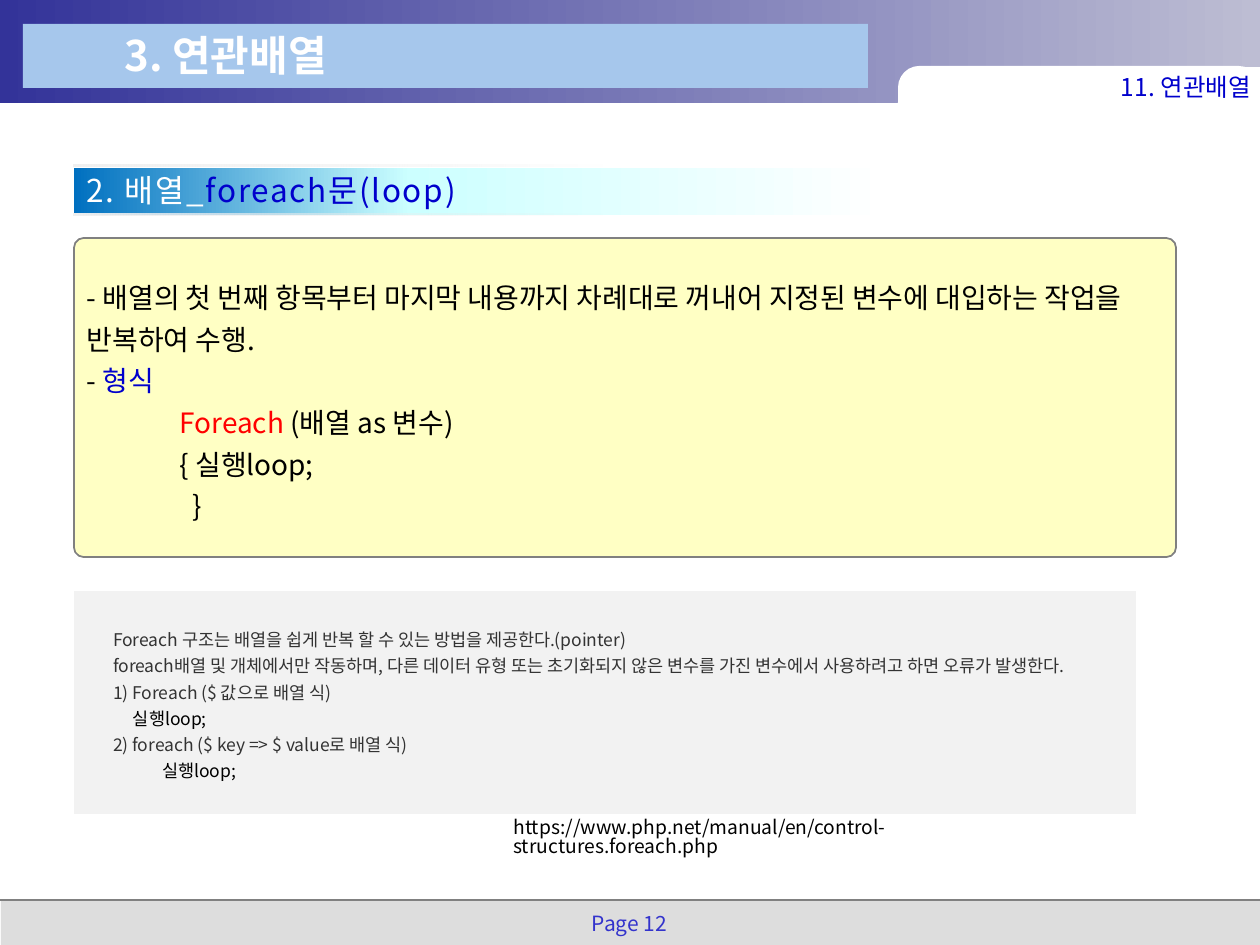
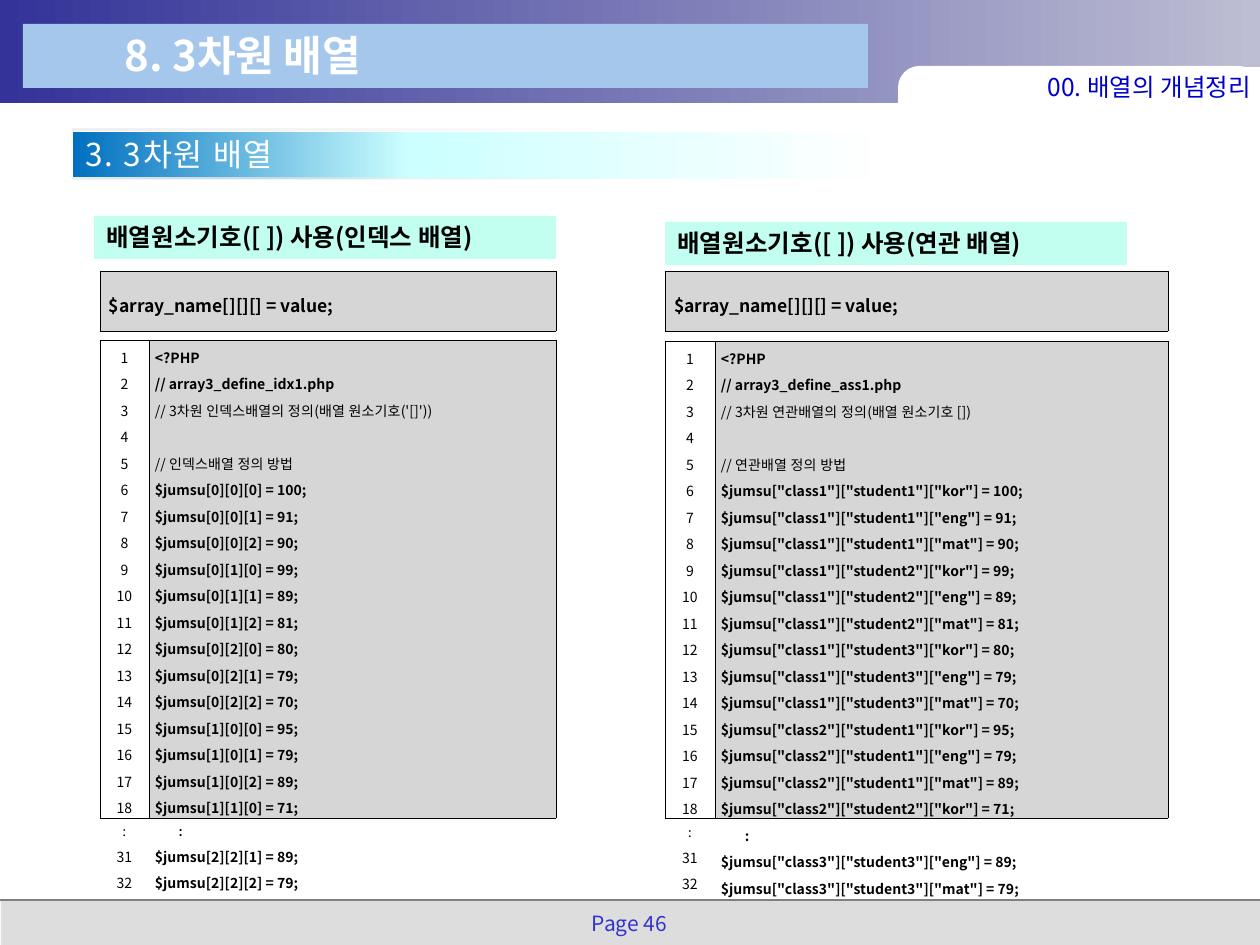
from lxml import etree
from pptx import Presentation
from pptx import util as u
from pptx.dml.color import RGBColor
from pptx.enum import shapes, text
from pptx.oxml.ns import qn

SCALE = 914400 / 126
FONT, ALT_FONT = "Noto Sans CJK KR", "Lato"

WHITE = RGBColor(0xFF, 0xFF, 0xFF)
BLACK = RGBColor(0x00, 0x00, 0x00)
INDIGO = RGBColor(0x33, 0x33, 0x99)
LAVENDER = RGBColor(0xBD, 0xBD, 0xD3)
SKY = RGBColor(0xA6, 0xC7, 0xEC)
FOOTER_GREY = RGBColor(0xDD, 0xDD, 0xDD)
LINE_GREY = RGBColor(0x80, 0x80, 0x80)
PAGE_BLUE = RGBColor(0x33, 0x33, 0xCC)
BLUE = RGBColor(0x00, 0x00, 0xCC)
RED = RGBColor(0xFF, 0x00, 0x00)
YELLOW = RGBColor(0xFF, 0xFF, 0x00)
BAND_BLUE = RGBColor(0x00, 0x70, 0xC0)
BAND_CYAN = RGBColor(0xCC, 0xFF, 0xFF)
EDGE_LIGHT = RGBColor(0xF0, 0xF0, 0xF0)
EDGE_DARK = RGBColor(0xEA, 0xEA, 0xEA)
NAVY = RGBColor(0x00, 0x00, 0x66)
NOTE_GREY = RGBColor(0xF2, 0xF2, 0xF2)
NOTE_TEXT = RGBColor(0x33, 0x33, 0x33)
CODE_GREY = RGBColor(0xD6, 0xD6, 0xD6)
MINT = RGBColor(0xC2, 0xFF, 0xF0)

LEFT, CENTER, RIGHT, JUSTIFY = (text.PP_ALIGN.LEFT, text.PP_ALIGN.CENTER,
                                text.PP_ALIGN.RIGHT, text.PP_ALIGN.JUSTIFY)
RECT, ROUND = shapes.MSO_SHAPE.RECTANGLE, shapes.MSO_SHAPE.ROUNDED_RECTANGLE
MIDDLE = text.MSO_ANCHOR.MIDDLE


def px(length):
    return u.Emu(round(length * SCALE))


def emu_box(box):
    return [px(length) for length in box]


def add_color(parent, color, alpha=None):
    node = etree.SubElement(parent, qn("a:srgbClr"), val=str(color))
    if alpha is not None:
        etree.SubElement(node, qn("a:alpha"), val=str(alpha * 1000))


def add_shape(parts, kind, box, fill, line=None, corner=None):
    shape = parts.add_shape(kind, *emu_box(box))
    shape.shadow.inherit = False
    if corner is not None:
        shape.adjustments[0] = corner
    if isinstance(fill, list):
        set_gradient(shape, fill)
    else:
        shape.fill.solid()
        shape.fill.fore_color.rgb = fill
    if line is None:
        shape.line.fill.background()
    else:
        shape.line.color.rgb = line
        shape.line.width = u.Pt(1)
    return shape


def set_gradient(shape, stops):
    """Fill from left to right; each stop is (percent, color[, alpha])."""
    shape.fill.gradient()
    shape.fill.gradient_angle = 0
    stop_list = shape._element.spPr.find(qn("a:gradFill")).find(qn("a:gsLst"))
    for old in list(stop_list):
        stop_list.remove(old)
    for percent, *color in stops:
        stop = etree.SubElement(stop_list, qn("a:gs"), pos=str(percent * 1000))
        add_color(stop, *color)


def style_span(span, size, color, bold, font):
    span.font.size = u.Pt(size)
    span.font.bold = bold
    span.font.color.rgb = color
    span.font.name = font
    etree.SubElement(span._r.get_or_add_rPr(), qn("a:ea"), typeface=font)


def write(frame, paras, size, color=BLACK, bold=False, align=LEFT,
          spacing=1.0, indent=0):
    """Each paragraph is a string or a list of (text, style changes)."""
    for index, parts in enumerate(paras):
        para = frame.paragraphs[0] if index == 0 else frame.add_paragraph()
        para.alignment, para.line_spacing = align, spacing
        set_indent(para, indent)
        for words, changes in [(parts, {})] if isinstance(parts, str) else parts:
            span = para.add_run()
            span.text = words
            style_span(span, **{"size": size, "color": color, "bold": bold,
                                "font": FONT, **changes})


def set_indent(para, indent):
    para._p.get_or_add_pPr().set("marL", str(px(indent)))


def set_frame(frame, anchor=text.MSO_ANCHOR.TOP, inset=None):
    frame.word_wrap = True
    frame.vertical_anchor = anchor
    if inset is not None:
        frame.margin_left = frame.margin_right = px(inset)
        frame.margin_top = frame.margin_bottom = px(inset)
    return frame


def add_text(parts, box, paras, size, color, anchor=text.MSO_ANCHOR.TOP,
             inset=None, **style):
    frame = set_frame(parts.add_textbox(*emu_box(box)).text_frame, anchor, inset)
    write(frame, paras, size, color, **style)
    return frame


def add_page(deck, title, chapter, number):
    page = deck.slides.add_slide(deck.slide_layouts[6])
    parts = page.shapes
    # Footer
    add_shape(parts, RECT, (1, 900, 1259, 49), FOOTER_GREY)
    rule = parts.add_connector(shapes.MSO_CONNECTOR.STRAIGHT,
                               *emu_box((0, 900, 1260, 900)))
    rule.line.color.rgb, rule.line.width = LINE_GREY, u.Pt(1)
    etree.SubElement(rule._element.spPr, qn("a:effectLst"))
    add_text(parts, (573, 907, 113, 35), [f"Page {number}"], 12, PAGE_BLUE,
             align=CENTER, spacing=0.9)
    # Header band with its chapter tab
    add_shape(parts, RECT, (0, 0, 1260, 103), [(0, INDIGO), (100, LAVENDER)])
    add_shape(parts, ROUND, (898, 66, 362, 74), WHITE, corner=0.29)
    add_shape(parts, RECT, (1147, 67, 113, 30), WHITE)
    add_shape(parts, RECT, (23, 24, 845, 64), SKY)
    add_text(parts, (112, 23, 626, 63), [title], 24, WHITE, bold=True)
    add_text(parts, (1017, 67, 239, 40), [chapter], 14, BLUE, MIDDLE, 5,
             align=RIGHT)
    return page


def add_section_band(page, left, top, heading):
    parts = page.shapes.add_group_shape().shapes
    add_shape(parts, RECT, (left, top + 3, 840, 47),
              [(0, BAND_BLUE), (40, BAND_CYAN), (97, WHITE)])
    for edge_top in (top, top + 49):
        add_shape(parts, RECT, (left, edge_top, 530, 2),
                  [(0, EDGE_LIGHT), (100, EDGE_DARK, 0)])
    frame = add_text(parts, (left, top, 844, 50), [heading], 18, WHITE)
    # Letter spacing and a small shadow behind the letters
    for span in frame.paragraphs[0].runs:
        props = span._r.get_or_add_rPr()
        props.set("spc", "100")
        effects = etree.Element(qn("a:effectLst"))
        props.find(qn("a:solidFill")).addnext(effects)
        shadow = etree.SubElement(effects, qn("a:outerShdw"), dist="17961",
                                  dir="2700000")
        add_color(shadow, NAVY)


def add_syntax_panel(page, box):
    panel = add_shape(page.shapes, ROUND, box, YELLOW, LINE_GREY, 0.03)
    color = panel._element.spPr.find(qn("a:solidFill"))[0]
    etree.SubElement(color, qn("a:alpha"), val="23000")
    frame = set_frame(panel.text_frame, MIDDLE, 5)
    write(frame, [
        "- 배열의 첫 번째 항목부터 마지막 내용까지 차례대로 꺼내어 지정된 변수에 "
        "대입하는 작업을 반복하여 수행.",
        [("- ", {}), ("형식", {"color": BLUE})],
        [("Foreach", {"color": RED}), (" (배열 as 변수)", {})],
        "{ 실행loop;",
        "}",
    ], 16, spacing=1.24, indent=5)
    frame.paragraphs[0].space_before = u.Pt(6)
    for para, indent in zip(frame.paragraphs[2:], (98, 98, 111)):
        set_indent(para, indent)


def add_note_panel(page, box):
    panel = add_shape(page.shapes, RECT, box, NOTE_GREY)
    frame = set_frame(panel.text_frame, MIDDLE, 0)
    loop = [("실행loop;", {"color": BLACK})]
    write(frame, [
        "Foreach 구조는 배열을 쉽게 반복 할 수 있는 방법을 제공한다.(pointer)",
        "foreach배열 및 개체에서만 작동하며, 다른 데이터 유형 또는 초기화되지 않은 "
        "변수를 가진 변수에서 사용하려고 하면 오류가 발생한다.",
        "1) Foreach ($ 값으로 배열 식)",
        loop,
        "2) foreach ($ key => $ value로 배열 식)",
        loop,
    ], 10, NOTE_TEXT, spacing=1.24, indent=39)
    set_indent(frame.paragraphs[3], 59)
    set_indent(frame.paragraphs[5], 88)


def add_grid(page, box, widths, fills, inset):
    """One-row table with thin black borders; returns its cells."""
    table = page.shapes.add_table(1, len(widths), *emu_box(box)).table
    table.first_row = table.horz_banding = False
    table.rows[0].height = px(box[3])
    for column, width in zip(table.columns, widths):
        column.width = px(width)
    cells = list(table.rows[0].cells)
    for cell, fill in zip(cells, fills):
        cell.vertical_anchor = MIDDLE
        cell.margin_left = cell.margin_right = px(inset[0])
        cell.margin_top = cell.margin_bottom = px(inset[1])
        if fill is None:
            cell.fill.background()
        else:
            cell.fill.solid()
            cell.fill.fore_color.rgb = fill
        props = cell._tc.get_or_add_tcPr()
        for index, side in enumerate(("a:lnL", "a:lnR", "a:lnT", "a:lnB")):
            border = etree.Element(qn(side), w="3556")
            add_color(etree.SubElement(border, qn("a:solidFill")), BLACK)
            props.insert(index, border)
    return cells


def add_code_column(page, left, width, number_width, code_top, label_at, label,
                    code, dots_font):
    # Coloured label
    tag = add_shape(page.shapes, RECT, (*label_at, 462, 43), MINT)
    write(set_frame(tag.text_frame), [label], 14, bold=True)
    # Syntax line
    cell, = add_grid(page, (left, 271, width, 60), [width], [CODE_GREY], (9, 3))
    write(cell.text_frame, ["$array_name[][][] = value;"], 10, bold=True,
          align=JUSTIFY, spacing=1.3)
    # Line numbers and code
    numbers, listing = add_grid(
        page, (left, code_top, width, 818 - code_top),
        [number_width, width - number_width], [None, CODE_GREY], (6, 1))
    write(numbers.text_frame,
          [*(str(n) for n in range(1, 19)), [(":", {"font": ALT_FONT})],
           "31", "32"], 8, align=CENTER, spacing=1.3)
    dots = [(":", {"font": dots_font})]
    write(listing.text_frame, [*code[:-2], dots, *code[-2:]], 8, bold=True,
          align=JUSTIFY, spacing=1.3)
    paras = listing.text_frame.paragraphs
    paras[3].space_before = u.Pt(15.1)  # line 4 is empty
    set_indent(paras[-3], 24)


def code_lines(file_name, kind, symbol, keys):
    """Opening lines, then scores 1 to 18 shown as 13 first and 2 last."""
    plain, hangul = {"bold": False}, {"bold": False, "font": ALT_FONT}
    scores = [100, 91, 90, 99, 89, 81, 80, 79, 70, 95, 79, 89, 71, 89, 79]
    places = [(n // 9, n // 3 % 3, n % 3) for n in (*range(13), 25, 26)]
    lines = ["<?PHP", f"// {file_name}",
             [("// 3", plain), (f"차원 {kind}배열의 정의", hangul), ("(", plain),
              ("배열 원소기호", hangul), (symbol, plain)],
             [("// ", plain), (f"{kind}배열 정의 방법", hangul)]]
    for place, score in zip(places, scores):
        path_keys = "".join(f"[{names[n]}]" for names, n in zip(keys, place))
        lines.append(f"$jumsu{path_keys} = {score};")
    return lines


def build_foreach_page(deck):
    page = add_page(deck, "3. 연관배열", "11. 연관배열", 12)
    add_section_band(page, 74, 165, [("2. 배열_", {}),
                                     ("foreach문(loop)", {"color": BLUE})])
    add_syntax_panel(page, (74, 238, 1102, 319))
    add_note_panel(page, (74, 591, 1062, 223))
    add_text(page.shapes, (501, 813, 578, 37),
             ["https://www.php.net/manual/en/control-structures.foreach.php"],
             11, BLACK, spacing=0.83)


def build_array_page(deck):
    page = add_page(deck, "8. 3차원 배열", "00. 배열의 개념정리", 46)
    add_section_band(page, 73, 129, "3. 3차원 배열")
    add_code_column(page, 100, 456, 49, 340, (94, 216),
                    "배열원소기호([ ]) 사용(인덱스 배열)",
                    code_lines("array3_define_idx1.php", "인덱스", "('[]'))",
                               [range(3)] * 3), ALT_FONT)
    names = [[f'"{word}{n}"' for n in (1, 2, 3)] for word in ("class", "student")]
    add_code_column(page, 665, 503, 50, 341, (665, 222),
                    "배열원소기호([ ]) 사용(연관 배열)",
                    code_lines("array3_define_ass1.php", "연관", " [])",
                               [*names, ['"kor"', '"eng"', '"mat"']]), FONT)


def main():
    deck = Presentation()
    deck.slide_width, deck.slide_height = px(1260), px(945)
    build_foreach_page(deck)
    build_array_page(deck)
    deck.save("out.pptx")


if __name__ == "__main__":
    main()
